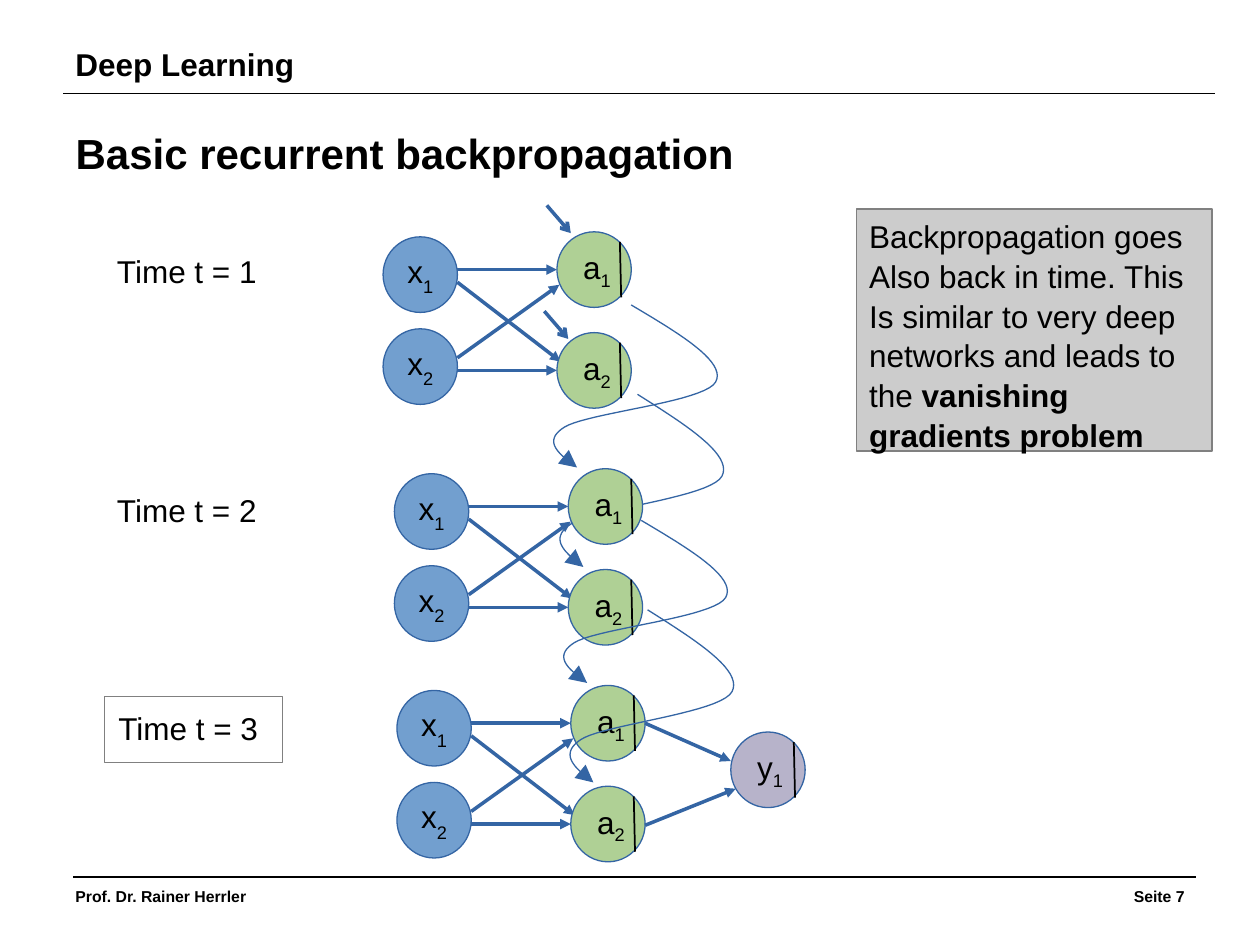
from lxml.etree import SubElement
from pptx import Presentation
from pptx.dml.color import RGBColor
from pptx.enum.shapes import MSO_CONNECTOR as Connector, MSO_SHAPE as Shape
from pptx.enum.text import MSO_ANCHOR as Anchor, MSO_AUTO_SIZE as AutoSize, PP_ALIGN as Align
from pptx.oxml.ns import qn
from pptx.util import Inches, Pt

BLACK, WHITE, BLUE, GREY = "000000", "FFFFFF", "3465A4", "808080"
INPUT_FILL, STATE_FILL, OUTPUT_FILL, NOTE_FILL = "729FCF", "AFD095", "B7B3CA", "CCCCCC"
NODE_WIDTH, NODE_HEIGHT = 0.59, 0.6
LAYER_OFFSETS = [(0, 0), (0.09, 1.88), (0.11, 3.6)]
LAYER_ARROWS = [
    (3.63, 2.84, 4.44, 2.26),
    (3.63, 2.24, 4.45, 2.87),
    (3.63, 2.94, 4.42, 2.94),
    (3.63, 2.14, 4.42, 2.14),
]
LOOP = [
    [(0, 0), (0.38, 0.24), (0.76, 0.48), (0.67, 0.65)],
    [(0.67, 0.65), (0.58, 0.82), (-0.35, 0.91), (-0.53, 1.03)],
    [(-0.53, 1.03), (-0.71, 1.15), (-0.57, 1.26), (-0.43, 1.37)],
]
LOOP_HEIGHT = 1.37
LOOP_STEPS = 20


def color(value):
    """Turn a hex string into a colour."""
    return RGBColor.from_string(value)


def apply(target, **values):
    """Set each given attribute on the target."""
    for name, value in values.items():
        setattr(target, name, value)


def style_line(line, value, width, head=None, size="med"):
    """Colour a line and give its end an arrowhead if one is named."""
    line.fill.solid()
    line.fill.fore_color.rgb = color(value)
    line.width = Pt(width)
    if head:
        SubElement(line._get_or_add_ln(), qn("a:tailEnd"), type=head, w=size, len=size)


def write(frame, paragraphs, size=18, align=Align.LEFT, anchor=Anchor.TOP, wrap=True, spacing=1.0):
    """Fill a frame with paragraphs of (text, bold, baseline) spans."""
    apply(frame, word_wrap=wrap, auto_size=AutoSize.NONE, vertical_anchor=anchor)
    for index, spans in enumerate(paragraphs):
        para = frame.paragraphs[0] if index == 0 else frame.add_paragraph()
        apply(para, alignment=align, line_spacing=spacing)
        for text, bold, baseline in spans:
            span = para.add_run()
            span.text = text
            apply(span.font, name="Arial", size=Pt(size), bold=bold)
            span.font.color.rgb = color(BLACK)
            if baseline:
                span.font._element.set("baseline", str(baseline))


def add_text(page, at, paragraphs, **options):
    """Add a text box."""
    box = page.shapes.add_textbox(*map(Inches, at))
    write(box.text_frame, paragraphs, **options)


def add_block(page, kind, at, fill, edge, width):
    """Add a filled preset shape."""
    shape = page.shapes.add_shape(kind, *map(Inches, at))
    shape.shadow.inherit = False
    shape.fill.solid()
    shape.fill.fore_color.rgb = color(fill)
    style_line(shape.line, edge, width)
    return shape


def add_line(page, ends, value=BLUE, width=0, head=None):
    """Add a straight line or arrow."""
    line = page.shapes.add_connector(Connector.STRAIGHT, *map(Inches, ends))
    style_line(line.line, value, width, head)
    SubElement(line._element.spPr, qn("a:effectLst"))


def add_node(page, x, y, fill):
    """Add a round network node."""
    return add_block(page, Shape.OVAL, (x, y, NODE_WIDTH, NODE_HEIGHT), fill, BLUE, 0)


def add_input(page, x, y, index):
    """Add an input node with its name inside."""
    node = add_node(page, x, y, INPUT_FILL)
    name = [("x", False, 0), (index, False, -33000)]
    write(node.text_frame, [name], align=Align.CENTER, anchor=Anchor.MIDDLE, wrap=False)


def add_neuron(page, x, y, letter, index, fill):
    """Add a neuron with its name and activation bar."""
    add_node(page, x, y, fill)
    name = [(letter, False, 0), (index, False, -25000)]
    add_text(page, (x + 0.11, y + 0.08, 0.52, 0.59), [name], wrap=False)
    add_line(page, (x + 0.5, y + 0.08, x + 0.51, y + 0.52), BLACK, 1)


def add_layer(page, dx, dy):
    """Add the inputs, states and arrows of one time step."""
    for index, y in (("1", 1.88), ("2", 2.61)):
        add_input(page, 3.04 + dx, y + dy, index)
    for x1, y1, x2, y2 in LAYER_ARROWS:
        add_line(page, (x1 + dx, y1 + dy, x2 + dx, y2 + dy), head="triangle")
    for index, y in (("1", 1.84), ("2", 2.64)):
        add_neuron(page, 4.42 + dx, y + dy, "a", index, STATE_FILL)


def bezier(points, t):
    """Return the point at t on a cubic curve."""
    weights = ((1 - t) ** 3, 3 * t * (1 - t) ** 2, 3 * t * t * (1 - t), t ** 3)
    return [sum(w * p[axis] for w, p in zip(weights, points)) for axis in (0, 1)]


def add_loop(page, x, y, height):
    """Add a curved arrow that leads to the next time step."""
    points = []
    for part in LOOP:
        for step in range(1, LOOP_STEPS + 1):
            px, py = bezier(part, step / LOOP_STEPS)
            points.append((Inches(x + px), Inches(y + py * height / LOOP_HEIGHT)))
    builder = page.shapes.build_freeform(Inches(x), Inches(y))
    builder.add_line_segments(points, close=False)
    loop = builder.convert_to_shape()
    loop.shadow.inherit = False
    loop.fill.background()
    style_line(loop.line, BLUE, 0, "triangle", "lg")


def add_frame(page):
    """Add the title, header and footer."""
    title = page.shapes.title
    apply(title, left=Inches(0.5), top=Inches(0.96), width=Inches(5.48), height=Inches(0.5))
    write(title.text_frame, [[("Basic recurrent backpropagation", True, 0)]], size=24, wrap=False)
    add_line(page, (0.5, 0.74, 9.64, 0.74), BLACK, 0.75)
    add_line(page, (0.58, 6.96, 9.49, 6.96), BLACK, 0.75)
    add_text(page, (0.5, 0.31, 8.81, 0.4), [[("Deep Learning", True, 0)]])
    add_text(page, (0.5, 6.99, 2.58, 0.25), [[("Prof. Dr. Rainer Herrler", True, 0)]], size=9)
    add_text(page, (6.92, 6.99, 2.58, 0.25), [[("Seite 7", True, 0)]], size=9, align=Align.RIGHT)


def add_note(page):
    """Add the grey remark on vanishing gradients."""
    note = add_block(page, Shape.RECTANGLE, (6.8, 1.66, 2.82, 1.92), NOTE_FILL, GREY, 0.75)
    paragraphs = [
        [("Backpropagation goes", False, 0)],
        [("Also back in time. This", False, 0)],
        [("Is similar to very deep networks and leads to the ", False, 0),
         ("vanishing gradients problem", True, 0)],
    ]
    write(note.text_frame, paragraphs, spacing=1.05)


def main():
    """Build the slide and save the deck."""
    deck = Presentation()
    apply(deck, slide_width=Inches(10), slide_height=Inches(7.5))
    page = deck.slides.add_slide(deck.slide_layouts[5])
    add_frame(page)
    add_block(page, Shape.RECTANGLE, (0.83, 5.53, 1.41, 0.52), WHITE, GREY, 0.75)
    for step, (x, y) in enumerate([(0.83, 1.95), (0.83, 3.85), (0.84, 5.58)], 1):
        add_text(page, (x, y, 1.32, 0.4), [[(f"Time t = {step}", False, 0)]], wrap=False)
    add_loop(page, 5.06, 3.13, 1.37)
    add_loop(page, 5.01, 2.42, 1.29)
    for dx, dy in LAYER_OFFSETS:
        add_layer(page, dx, dy)
    for ends in ((4.34, 1.63, 4.53, 1.85), (4.32, 2.47, 4.51, 2.69)):
        add_line(page, ends, head="arrow")
    add_neuron(page, 5.8, 5.81, "y", "1", OUTPUT_FILL)
    for ends in ((5.12, 5.74, 5.8, 6.04), (5.12, 6.55, 5.84, 6.26)):
        add_line(page, ends, head="triangle")
    add_loop(page, 5.14, 4.84, 1.37)
    add_loop(page, 5.09, 4.13, 1.29)
    add_note(page)
    deck.save("out.pptx")


if __name__ == "__main__":
    main()
